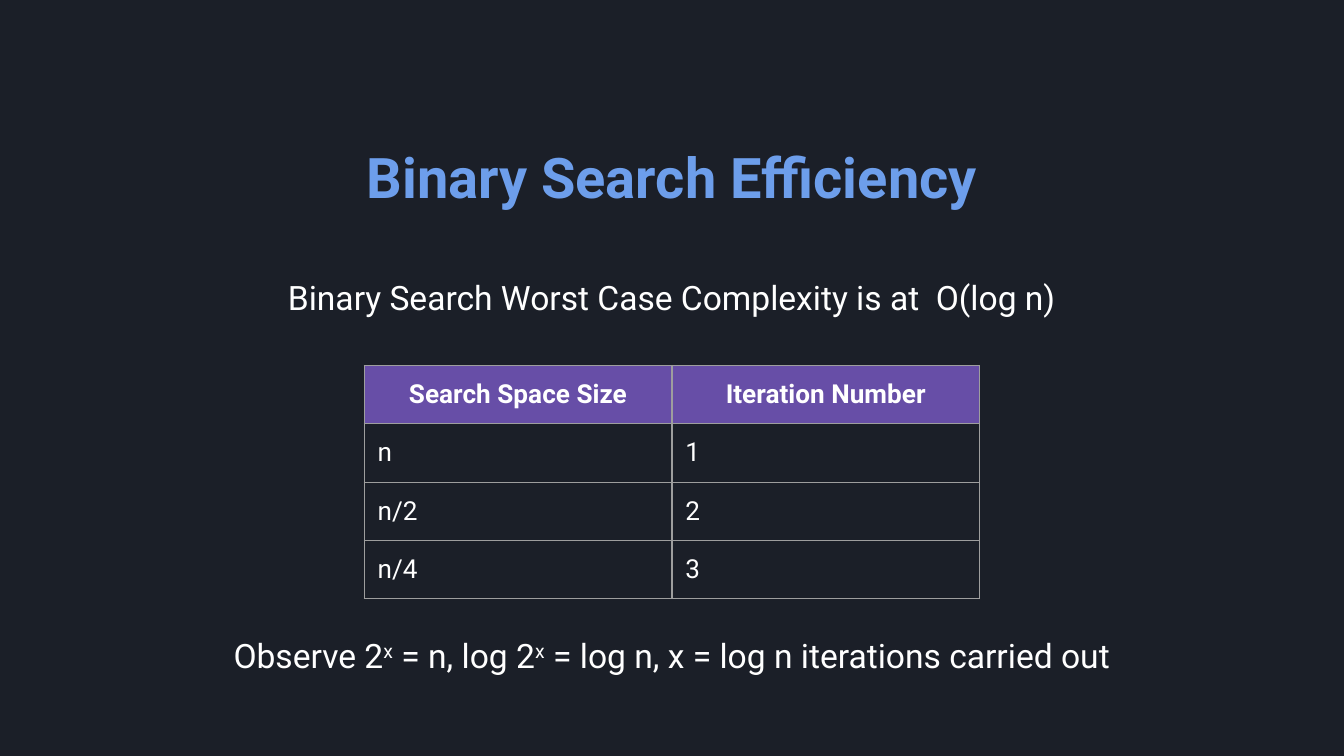
from lxml.etree import SubElement
from pptx import Presentation
from pptx.dml.color import RGBColor
from pptx.enum.text import MSO_ANCHOR as Anchor, PP_ALIGN as Align
from pptx.oxml.ns import qn
from pptx.util import Inches, Pt

BACKGROUND = RGBColor(0x1B, 0x1F, 0x28)
BLUE = RGBColor(0x6D, 0x9E, 0xEB)
PURPLE = RGBColor(0x67, 0x4E, 0xA7)
WHITE = RGBColor(0xFF, 0xFF, 0xFF)
GRAY = RGBColor(0x9E, 0x9E, 0x9E)

TITLE = {"size": Pt(30), "bold": True}
BODY = {"size": Pt(18), "bold": False}
HEADER = {"size": Pt(14), "bold": True}
CELL = {"size": Pt(14), "bold": False}

ROWS = [
    ("Search Space Size", "Iteration Number"),
    ("n", "1"),
    ("n/2", "2"),
    ("n/4", "3"),
]
FORMULA = [
    ("Observe 2", False),
    ("x", True),
    (" = n, log 2", False),
    ("x", True),
    (" = log n, x = log n iterations carried out", False),
]


def set_margins(target):
    for side in ("left", "right", "top", "bottom"):
        setattr(target, f"margin_{side}", Inches(0.1))


def add_run(paragraph, text, style, color=WHITE):
    run = paragraph.add_run()
    run.text = text
    for name, value in {"name": "Roboto", **style}.items():
        setattr(run.font, name, value)
    run.font.color.rgb = color
    return run


def add_text_frame(slide, left, top, width, height):
    box = slide.shapes.add_textbox(
        Inches(left), Inches(top), Inches(width), Inches(height))
    frame = box.text_frame
    frame.word_wrap = True
    frame.vertical_anchor = Anchor.TOP
    set_margins(frame)
    return frame


def add_heading(slide, left, top, width, height):
    frame = add_text_frame(slide, left, top, width, height)
    title = frame.paragraphs[0]
    title.alignment = Align.CENTER
    add_run(title, "Binary Search Efficiency", TITLE, BLUE)
    subtitle = frame.add_paragraph()
    subtitle.alignment = Align.CENTER
    subtitle.space_before = Pt(36)
    add_run(subtitle, "Binary Search Worst Case Complexity is at  O(log n)", BODY)


def add_borders(cell):
    properties = cell._tc.get_or_add_tcPr()
    for position, side in enumerate(("a:lnL", "a:lnR", "a:lnT", "a:lnB")):
        line = properties.makeelement(qn(side), {"w": str(Pt(0.75))})
        fill = SubElement(line, qn("a:solidFill"))
        SubElement(fill, qn("a:srgbClr"), {"val": str(GRAY)})
        properties.insert(position, line)


def add_iteration_table(slide, left, top, width, height):
    table = slide.shapes.add_table(
        len(ROWS), len(ROWS[0]),
        Inches(left), Inches(top), Inches(width), Inches(height)).table
    table.horz_banding = False
    for row_index, row in enumerate(ROWS):
        is_header = row_index == 0
        for column_index, text in enumerate(row):
            cell = table.cell(row_index, column_index)
            set_margins(cell)
            if is_header:
                cell.fill.solid()
                cell.fill.fore_color.rgb = PURPLE
            else:
                cell.fill.background()
            add_borders(cell)
            paragraph = cell.text_frame.paragraphs[0]
            paragraph.alignment = Align.CENTER if is_header else Align.LEFT
            add_run(paragraph, text, HEADER if is_header else CELL)


def add_observation(slide, left, top, width, height):
    paragraph = add_text_frame(slide, left, top, width, height).paragraphs[0]
    paragraph.alignment = Align.CENTER
    paragraph.line_spacing = 0.8
    for text, is_exponent in FORMULA:
        run = add_run(paragraph, text, BODY)
        if is_exponent:
            run.font._element.set("baseline", "30000")


def main():
    presentation = Presentation()
    presentation.slide_width = Inches(10)
    presentation.slide_height = Inches(10) * 9 // 16
    slide = presentation.slides.add_slide(presentation.slide_layouts[6])
    slide.background.fill.solid()
    slide.background.fill.fore_color.rgb = BACKGROUND
    add_heading(slide, 1.3, 0.96, 7.4, 0.81)
    add_iteration_table(slide, 2.71, 2.72, 4.58, 1.68)
    add_observation(slide, 0.95, 4.68, 8.1, 0.62)
    presentation.save("out.pptx")


if __name__ == "__main__":
    main()
